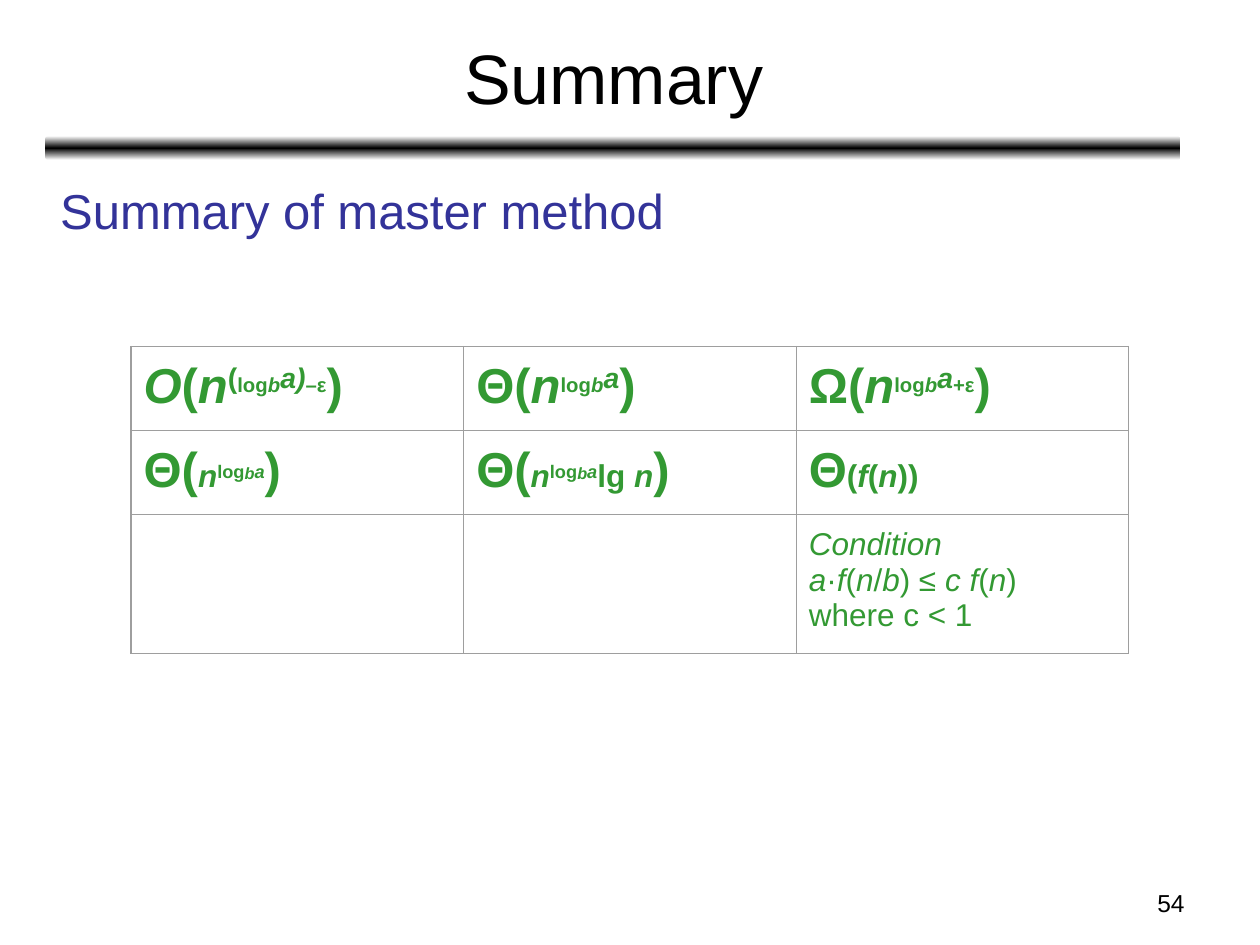
from copy import deepcopy
from dataclasses import dataclass

from lxml import etree
from pptx import Presentation
from pptx.dml.color import RGBColor
from pptx.enum.shapes import MSO_SHAPE
from pptx.enum.text import MSO_ANCHOR, PP_ALIGN
from pptx.oxml.ns import qn
from pptx.util import Inches, Pt

LEFT, CENTER, RIGHT = PP_ALIGN.LEFT, PP_ALIGN.CENTER, PP_ALIGN.RIGHT
TOP, MIDDLE = MSO_ANCHOR.TOP, MSO_ANCHOR.MIDDLE
ROUND = MSO_SHAPE.ROUNDED_RECTANGLE
TITLE_ONLY = 5


@dataclass(frozen=True)
class Theme:
    font: str = "Arial"
    black: str = "000000"
    white: str = "FFFFFF"
    blue: str = "333399"
    green: str = "339933"
    grid: str = "9E9E9E"
    title: int = 40
    large: int = 28
    mid: int = 20
    text: int = 18
    small: int = 16
    page: int = 14


def bold(text, size=Theme.large, marks=""):
    """Make a run; marks hold i for italic and ^ for superscript."""
    return text, size, "b" + marks


def plain(text, marks=""):
    return text, Theme.text, marks


class Deck:
    def __init__(self, theme):
        self.theme = theme
        self.prs = Presentation()
        self.prs.slide_width, self.prs.slide_height = Inches(10), Inches(7.5)
        layout = self.prs.slide_layouts[TITLE_ONLY]
        self.slide = self.prs.slides.add_slide(layout)

    def add_runs(self, para, runs, color):
        for text, size, marks in runs:
            run = para.add_run()
            run.text = text
            look = {"name": self.theme.font, "size": Pt(size),
                    "bold": "b" in marks, "italic": "i" in marks}
            for key, value in look.items():
                setattr(run.font, key, value)
            run.font.color.rgb = RGBColor.from_string(color)
            if "^" in marks:
                run.font._element.set("baseline", "30000")

    def fill_text(self, shape, text, size, color, align, anchor=TOP):
        frame = shape.text_frame
        look = {"word_wrap": True, "vertical_anchor": anchor,
                "margin_left": Inches(0.1), "margin_right": Inches(0.1),
                "margin_top": Inches(0.05), "margin_bottom": Inches(0.05)}
        for key, value in look.items():
            setattr(frame, key, value)
        para = frame.paragraphs[0]
        para.alignment = align
        self.add_runs(para, [(text, size, "")], color)

    def title(self, text, box):
        shape = self.slide.shapes.title
        for key, value in zip(("left", "top", "width", "height"), box):
            setattr(shape, key, Inches(value))
        self.fill_text(shape, text, self.theme.title, self.theme.black,
                       CENTER, MIDDLE)

    def label(self, text, box, size, color, align=LEFT):
        shape = self.slide.shapes.add_textbox(*map(Inches, box))
        self.fill_text(shape, text, size, color, align)

    def band(self, box):
        """Add a bar that fades from a dark middle to light edges."""
        shape = self.slide.shapes.add_shape(ROUND, *map(Inches, box))
        shape.shadow.inherit = False
        shape.line.fill.background()
        shape.fill.gradient()
        shape.fill.gradient_angle = 90
        stops = shape._element.spPr.find(qn("a:gradFill")).find(qn("a:gsLst"))
        stops.append(deepcopy(stops[-1]))
        light, dark = self.theme.white, self.theme.black
        colors = (light, dark, light)
        for i, (stop, color) in enumerate(zip(shape.fill.gradient_stops, colors)):
            stop.position = i / 2
            stop.color.rgb = RGBColor.from_string(color)

    def border(self, cell):
        props = cell._tc.get_or_add_tcPr()
        for i, side in enumerate(("lnL", "lnR", "lnT", "lnB")):
            line = etree.Element(qn("a:" + side), w=str(Pt(0.75)))
            fill = etree.SubElement(line, qn("a:solidFill"))
            etree.SubElement(fill, qn("a:srgbClr"), val=self.theme.grid)
            props.insert(i, line)

    def table(self, rows, spot, width, heights):
        cols = len(rows[0])
        size = (width * cols, sum(heights))
        frame = self.slide.shapes.add_table(
            len(rows), cols, *map(Inches, spot + size))
        table = frame.table
        table.first_row = table.horz_banding = False
        for col in table.columns:
            col.width = Inches(width)
        for r, row in enumerate(rows):
            table.rows[r].height = Inches(heights[r])
            for c, lines in enumerate(row):
                self.cell(table.cell(r, c), lines)

    def cell(self, cell, lines):
        for side in ("left", "right", "top", "bottom"):
            setattr(cell, "margin_" + side, Inches(0.1))
        cell.fill.background()
        self.border(cell)
        frame = cell.text_frame
        for i, runs in enumerate(lines):
            para = frame.add_paragraph() if i else frame.paragraphs[0]
            self.add_runs(para, runs, self.theme.green)


def main():
    theme = Theme()
    mid, text, small = theme.mid, theme.text, theme.small
    close = bold(")")
    n_big, n_text = bold("n", marks="i"), bold("n", text, "i")
    log_b = [bold("log", mid, "^"), bold("b", mid, "i^")]
    a_big = bold("a", marks="i^")
    n_log = [n_text, bold("log", text, "^"), bold("b", small, "i^"),
             bold("a", text, "i^")]
    cases = [
        [[bold("O", marks="i"), bold("("), n_big, bold("(", marks="^"), *log_b,
          bold("a)", marks="i^"), bold("–ε", mid, "^"), close]],
        [[bold("Θ("), n_big, *log_b, a_big, close]],
        [[bold("Ω("), n_big, *log_b, a_big, bold("+ε", mid, "^"), close]],
    ]
    bounds = [
        [[bold("Θ("), *n_log, close]],
        [[bold("Θ("), *n_log, bold("lg ", text), n_text, close]],
        [[bold("Θ"), bold("(", text), bold("f", text, "i"), bold("(", text),
          n_text, bold("))", text)]],
    ]
    rule = [
        [plain("Condition", "i")],
        [plain("a", "i"), plain("·"), plain("f", "i"), plain("("),
         plain("n", "i"), plain("/"), plain("b", "i"), plain(") ≤ "),
         plain("c f", "i"), plain("("), plain("n", "i"), plain(")")],
        [plain("where c < 1")],
    ]

    deck = Deck(theme)
    deck.band((0.36, 1.08, 9.01, 0.19))
    deck.title("Summary", (0.37, 0.11, 9, 0.99))
    deck.label("Summary of master method", (0.38, 1.38, 9, 0.6),
               theme.large, theme.blue)
    deck.label("54", (7.17, 7, 2.33, 0.35), theme.page, theme.black, RIGHT)
    deck.table([cases, bounds, [[], [], rule]], (1.04, 2.75), 2.64,
               (0.63, 0.63, 1.04))
    deck.prs.save("out.pptx")


if __name__ == "__main__":
    main()
